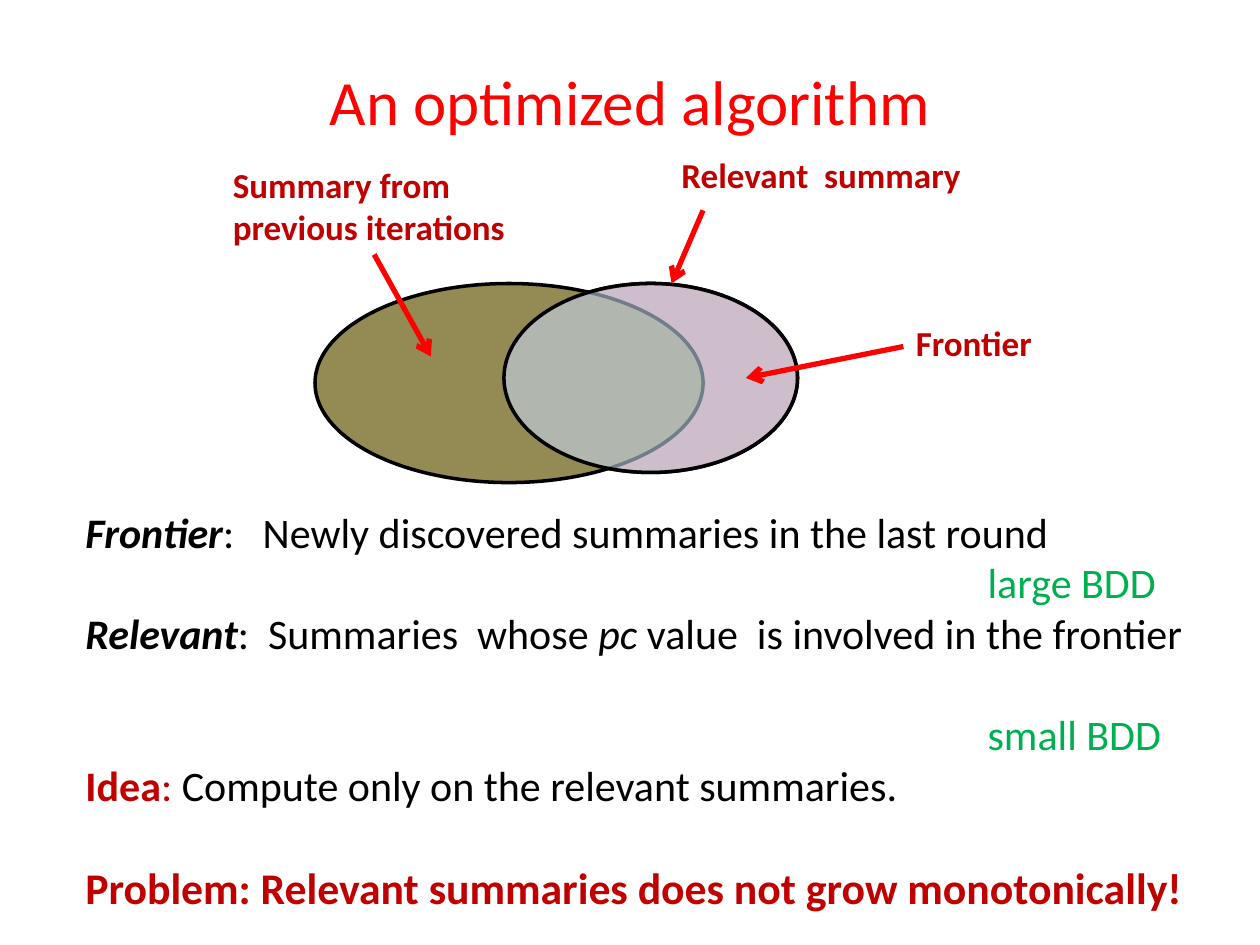
from pptx import Presentation
from pptx.util import Inches, Pt
from pptx.dml.color import RGBColor
from pptx.enum.shapes import MSO_SHAPE, MSO_CONNECTOR
from pptx.enum.text import PP_ALIGN, MSO_ANCHOR
from pptx.oxml.ns import qn
from lxml import etree

OVAL = MSO_SHAPE.OVAL
STRAIGHT = MSO_CONNECTOR.STRAIGHT
COLORS = {"black": "000000", "red": "FF0000", "dark_red": "C00000", "green": "00B050",
          "olive": "948A54", "brick": "C0504D", "pale_blue": "C6D9F1"}


def rgb(name):
    return RGBColor.from_string(COLORS[name])


def add_text(box, paragraphs, wrap=True):
    """Each paragraph: size, colour, space before, indent, runs of (text, style, colour)."""
    tf = s.shapes.add_textbox(*map(Inches, box)).text_frame
    tf.word_wrap = wrap
    for i, (size, color, before, indent, runs) in enumerate(paragraphs):
        p = tf.paragraphs[0] if i == 0 else tf.add_paragraph()
        p.font.name, p.font.size = "Calibri", Pt(size)
        p.font.color.rgb = rgb(color)
        p.space_before = Pt(before)
        if indent:
            p._p.get_or_add_pPr().set("marL", str(Inches(indent)))
        for text, style, run_color in runs:
            r = p.add_run()
            r.text = text
            r.font.bold, r.font.italic = "b" in style, "i" in style
            if run_color:
                r.font.color.rgb = rgb(run_color)
    return tf


prs = Presentation()
prs.slide_width, prs.slide_height = Inches(10), Inches(7.5)
s = prs.slides.add_slide(prs.slide_layouts[6])

# Title
tf = add_text((0.5, 0.17, 9, 1.25),
              [(36, "red", 0, 0, [("An optimized algorithm", "", None)])])
tf.vertical_anchor = MSO_ANCHOR.MIDDLE
tf.paragraphs[0].alignment = PP_ALIGN.CENTER

# Overlapping summary sets
relevant_box = (4, 2.25, 2.33, 1.5)
for box, color, alpha in [(relevant_box, "brick", 58),
                          ((2.5, 2.25, 3.08, 1.58), "olive", 100),
                          (relevant_box, "pale_blue", 58)]:
    sp = s.shapes.add_shape(OVAL, *map(Inches, box))
    sp.shadow.inherit = False
    sp.fill.solid()
    sp.fill.fore_color.rgb = rgb(color)
    sp.line.color.rgb = rgb("black")
    sp.line.width = Pt(2)
    if alpha < 100:
        clr = sp._element.spPr.find(qn("a:solidFill"))[0]
        etree.SubElement(clr, qn("a:alpha"), val=str(alpha * 1000))

# Labels and their arrows
for box, lines, start, end in [
        ((1.75, 1.25, 2.44, 0.77), ["Summary from", "previous iterations"],
         (2.97, 2.02), (3.42, 2.83)),
        ((7.17, 2.5, 1.13, 0.44), ["Frontier"], (7.17, 2.75), (5.92, 3)),
        ((5.31, 1.17, 2.44, 0.44), ["Relevant  summary"], (5.58, 1.67), (5.33, 2.25))]:
    add_text(box, [(20, "dark_red", 0, 0, [(line, "b", None)]) for line in lines], wrap=False)
    arrow = s.shapes.add_connector(STRAIGHT, *map(Inches, start + end))
    arrow.line.color.rgb = rgb("red")
    arrow.line.width = Pt(3)
    etree.SubElement(arrow.line._get_or_add_ln(), qn("a:tailEnd"), type="arrow")
    etree.SubElement(arrow._element.spPr, qn("a:effectLst"))

# Definitions, idea and problem
LINE_GAP = 29.3
BDD_INDENT = 7.16
add_text((0.58, 3.97, 9, 2.95), [
    (24, "black", 0, 0, [("Frontier", "bi", None),
                         (":   Newly discovered summaries in the last round", "", None)]),
    (24, "green", 0, BDD_INDENT, [("large BDD", "", None)]),
    (24, "black", 0, 0, [("Relevant", "bi", None), (":  Summaries  whose ", "", None),
                         ("pc", "i", None),
                         (" value  is involved in the frontier", "", None)]),
    (24, "green", LINE_GAP, BDD_INDENT, [("small BDD", "", None)]),
    (24, "dark_red", 0, 0, [("Idea", "b", None), (":", "", None),
                            (" Compute only on the relevant summaries.", "", "black")]),
    (25, "dark_red", LINE_GAP, 0,
     [("Problem: Relevant summaries does not grow monotonically!", "b", None)]),
])

prs.save("out.pptx")
